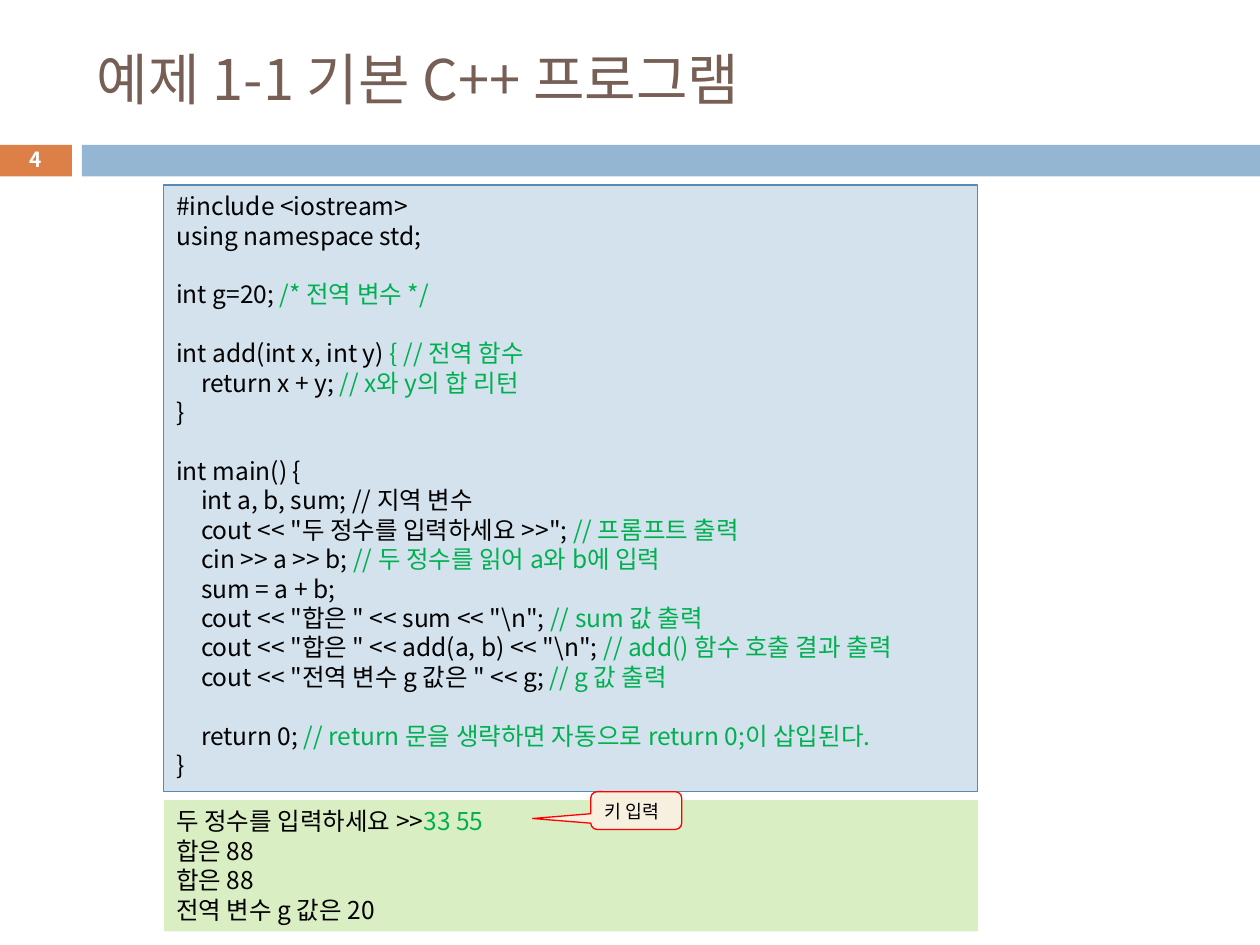
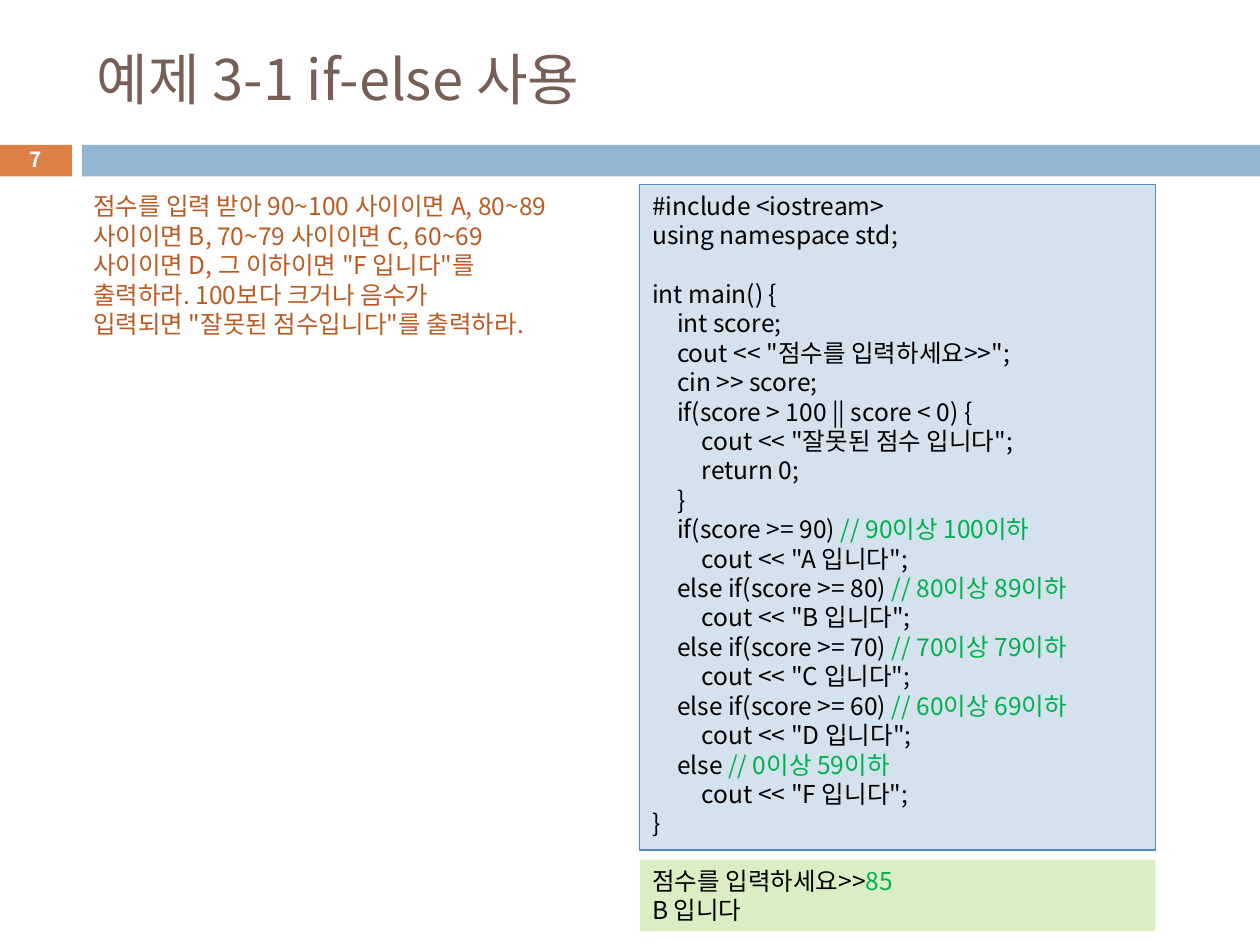
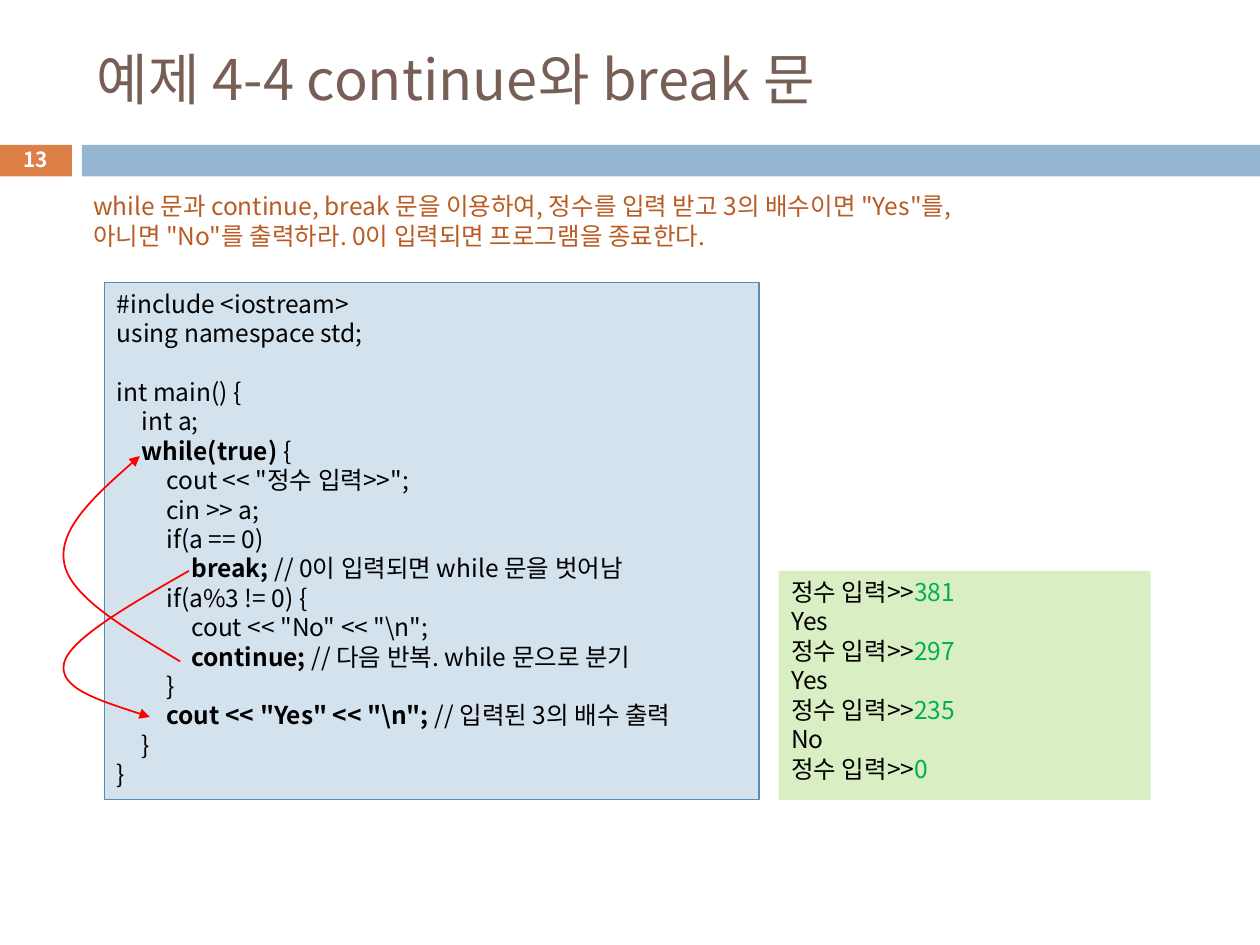
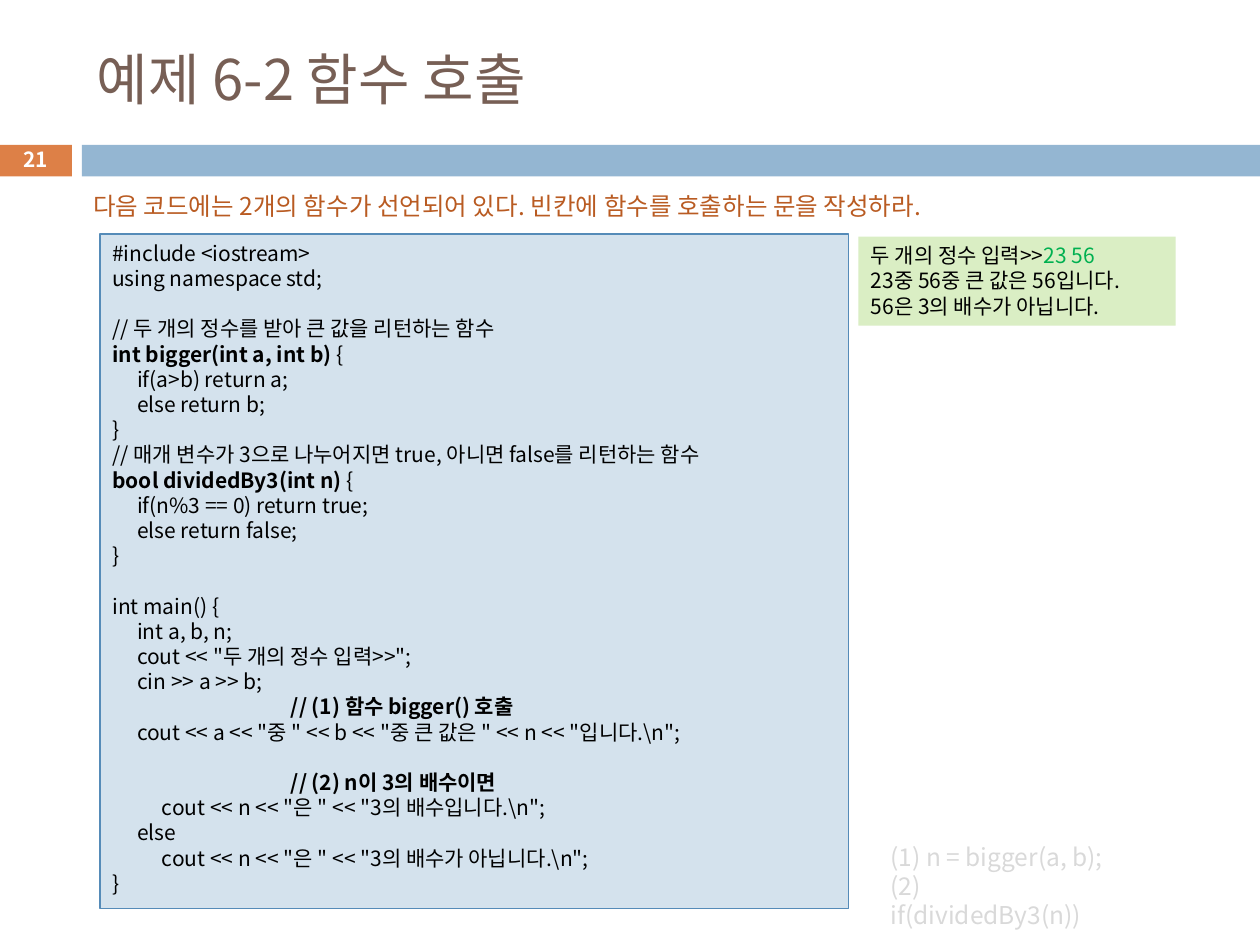
from collections import namedtuple

from lxml import etree
from pptx import Presentation
from pptx.dml.color import RGBColor
from pptx.enum.shapes import MSO_SHAPE
from pptx.enum.text import MSO_ANCHOR, MSO_AUTO_SIZE, PP_ALIGN
from pptx.oxml.ns import qn
from pptx.util import Pt

RECTANGLE = MSO_SHAPE.RECTANGLE
CALLOUT = MSO_SHAPE.ROUNDED_RECTANGULAR_CALLOUT
TOP = MSO_ANCHOR.TOP
MIDDLE = MSO_ANCHOR.MIDDLE
LEFT = PP_ALIGN.LEFT
CENTER = PP_ALIGN.CENTER
FIT_SHAPE = MSO_AUTO_SIZE.SHAPE_TO_FIT_TEXT
NO_FIT = MSO_AUTO_SIZE.NONE

FONT = "Noto Sans CJK KR"
LINE_HEIGHT = 1.2
TAB_WIDTH = 14.2
TAB_STOPS = 8
BLANK_TABS = "\t" * 6

COLORS = {
    "title": "775F55",
    "number_band": "DD8047",
    "band": "94B6D2",
    "white": "FFFFFF",
    "text": "000000",
    "comment": "00B050",
    "task": "B95B22",
    "answer": "D9D9D9",
    "code_fill": "D4E2ED",
    "code_line": "558BB8",
    "output_fill": "DAEEC4",
    "callout_fill": "F7F0DE",
    "red": "FF0000",
}

Segment = namedtuple("Segment", "text color bold underline",
                     defaults=(None, False, False))


def green(text):
    return Segment(text, color="comment")


def bold(text):
    return Segment(text, bold=True)


def blank(text):
    return Segment(text, underline=True)


def rgb(name):
    return RGBColor.from_string(COLORS[name])


class Deck:
    """Holds the shared style and the slide being filled."""

    def __init__(self):
        self.presentation = Presentation()
        self.presentation.slide_width = Pt(720)
        self.presentation.slide_height = Pt(540)
        self.slide = None

    def add_slide(self, title, number):
        layout = self.presentation.slide_layouts[5]
        self.slide = self.presentation.slides.add_slide(layout)
        self.rectangle((-0.7, 82.8, 41.8, 18), "number_band")
        self.rectangle((46.8, 82.8, 673.2, 18), "band")
        placeholder = self.slide.shapes.title
        placeholder.left, placeholder.top = Pt(48.2), Pt(18)
        placeholder.width, placeholder.height = Pt(642.2), Pt(53.3)
        self.set_lines(placeholder, [title], 32, "title", fixed_height=False)
        placeholder.text_frame.vertical_anchor = MIDDLE
        placeholder.text_frame.auto_size = NO_FIT
        number_box = self.text_box((-0.7, 81.4, 41.8, 19.4), [bold(number)], 11.9, "white")
        number_box.text_frame.auto_size = NO_FIT
        number_box.text_frame.vertical_anchor = MIDDLE
        number_box.text_frame.paragraphs[0].alignment = CENTER

    def style_run(self, run, segment, size, color):
        run.font.name = FONT
        run.font.size = Pt(size)
        run.font.color.rgb = rgb(segment.color or color)
        run.font.bold = segment.bold
        run.font.underline = segment.underline
        east_asian = etree.SubElement(run._r.get_or_add_rPr(), qn("a:ea"))
        east_asian.set("typeface", FONT)

    def set_tabs(self, paragraph):
        tabs = etree.SubElement(paragraph._p.get_or_add_pPr(), qn("a:tabLst"))
        for stop in range(1, TAB_STOPS + 1):
            tab = etree.SubElement(tabs, qn("a:tab"))
            tab.set("pos", str(int(Pt(TAB_WIDTH * stop))))
            tab.set("algn", "l")

    def set_lines(self, shape, lines, size, color, fixed_height=True):
        """Fill a shape; a line is a string, a Segment, or a list of both."""
        text_frame = shape.text_frame
        text_frame.word_wrap = True
        for index, line in enumerate(lines):
            paragraph = text_frame.add_paragraph() if index else text_frame.paragraphs[0]
            paragraph.alignment = LEFT
            if fixed_height:
                paragraph.line_spacing = Pt(size * LINE_HEIGHT)
            segments = line if isinstance(line, list) else [line]
            for segment in segments:
                if isinstance(segment, str):
                    segment = Segment(segment)
                if segment.text:
                    run = paragraph.add_run()
                    run.text = segment.text
                    self.style_run(run, segment, size, color)
            if any("\t" in run.text for run in paragraph.runs):
                self.set_tabs(paragraph)

    def rectangle(self, box, fill, line=None, kind=RECTANGLE):
        shape = self.slide.shapes.add_shape(kind, *map(Pt, box))
        shape.shadow.inherit = False
        shape.fill.solid()
        shape.fill.fore_color.rgb = rgb(fill)
        if line:
            shape.line.color.rgb = rgb(line)
            shape.line.width = Pt(0.75)
        else:
            shape.line.fill.background()
        return shape

    def panel(self, box, lines, size, fill, line=None, kind=RECTANGLE):
        shape = self.rectangle(box, fill, line, kind)
        self.set_lines(shape, lines, size, "text")
        shape.text_frame.vertical_anchor = TOP
        shape.text_frame.auto_size = FIT_SHAPE
        return shape

    def code(self, box, lines, size=14):
        self.panel(box, lines, size, "code_fill", "code_line")

    def output(self, box, lines, size=14):
        self.panel(box, lines, size, "output_fill")

    def callout(self, box, text, adjustments):
        shape = self.panel(box, [text], 10.5, "callout_fill", "red", CALLOUT)
        shape.text_frame.word_wrap = False
        for index, value in enumerate(adjustments):
            shape.adjustments[index] = value

    def text_box(self, box, lines, size, color):
        shape = self.slide.shapes.add_textbox(*map(Pt, box))
        self.set_lines(shape, lines, size, color)
        shape.text_frame.auto_size = FIT_SHAPE
        return shape

    def task(self, width, height, text):
        self.text_box((46.1, 105.8, width, height), [text], 14, "task")

    def curved_arrow(self, start, *points):
        """Draw Bézier curves; every three points are two controls and an end."""
        builder = self.slide.shapes.build_freeform(*map(Pt, start))
        builder.add_line_segments([tuple(map(Pt, point)) for point in points], close=False)
        shape = builder.convert_to_shape()
        outline = next(shape._element.iter(qn("a:path")))
        straight = outline.findall(qn("a:lnTo"))
        for first in range(0, len(straight), 3):
            curve = etree.SubElement(outline, qn("a:cubicBezTo"))
            for segment in straight[first:first + 3]:
                curve.append(segment[0])
                outline.remove(segment)
        shape.shadow.inherit = False
        shape.fill.background()
        shape.line.color.rgb = rgb("red")
        shape.line.width = Pt(1)
        line = shape._element.spPr.find(qn("a:ln"))
        etree.SubElement(line, qn("a:tailEnd")).set("type", "triangle")


def basic_program(deck):
    deck.add_slide("예제 1-1 기본 C++ 프로그램", "4")
    deck.code((93.6, 105.7, 465.2, 346.5), [
        "#include <iostream>",
        "using namespace std;",
        "",
        ["int g=20; ", green("/* 전역 변수 */")],
        "",
        ["int add(int x, int y) ", green("{ // 전역 함수")],
        ["\treturn x + y; ", green("// x와 y의 합 리턴")],
        "}",
        "",
        "int main() {",
        "\tint a, b, sum; // 지역 변수",
        ["\tcout << \"두 정수를 입력하세요 >>\"; ", green("// 프롬프트 출력")],
        ["\tcin >> a >> b; ", green("// 두 정수를 읽어 a와 b에 입력")],
        "\tsum = a + b;",
        ["\tcout << \"합은 \" << sum << \"\\n\"; ", green("// sum 값 출력")],
        ["\tcout << \"합은 \" << add(a, b) << \"\\n\"; ",
         green("// add() 함수 호출 결과 출력")],
        ["\tcout << \"전역 변수 g 값은 \" << g; ", green("// g 값 출력")],
        "",
        ["\treturn 0; ", green("// return 문을 생략하면 자동으로 return 0;이 삽입된다.")],
        "}",
    ])
    deck.output((93.6, 457.2, 465.2, 75), [
        ["두 정수를 입력하세요 >>", green("33 55")],
        "합은 88",
        "합은 88",
        "전역 변수 g 값은 20",
    ])
    deck.callout((337.6, 452.4, 52, 21.6), "키 입력", (-1.14, 0.21, 0.17))


def if_else(deck):
    deck.add_slide("예제 3-1 if-else 사용", "7")
    deck.task(285.8, 92.2, "점수를 입력 받아 90~100 사이이면 A, 80~89 사이이면 B, "
              "70~79 사이이면 C, 60~69 사이이면 D, 그 이하이면 \"F 입니다\"를 출력하라. "
              "100보다 크거나 음수가 입력되면 \"잘못된 점수입니다\"를 출력하라.")
    grades = []
    for grade, low, high in (("A", 90, 100), ("B", 80, 89), ("C", 70, 79), ("D", 60, 69)):
        keyword = "else if" if grades else "if"
        grades += [
            [f"\t{keyword}(score >= {low}) ", green(f"// {low}이상 {high}이하")],
            f"\t\tcout << \"{grade} 입니다\";",
        ]
    deck.code((365.6, 105.4, 294.6, 380.4), [
        "#include <iostream>",
        "using namespace std;",
        "",
        "int main() {",
        "\tint score;",
        "\tcout << \"점수를 입력하세요>>\";",
        "\tcin >> score;",
        "\tif(score > 100 || score < 0) {",
        "\t\tcout << \"잘못된 점수 입니다\";",
        "\t\treturn 0;",
        "\t}",
        *grades,
        ["\telse ", green("// 0이상 59이하")],
        "\t\tcout << \"F 입니다\";",
        "}",
    ])
    deck.output((365.6, 491.2, 294.6, 41), [
        ["점수를 입력하세요>>", green("85")],
        "B 입니다",
    ])


def continue_and_break(deck):
    deck.add_slide("예제 4-4 continue와 break 문", "13")
    deck.task(540.7, 41, "while 문과 continue, break 문을 이용하여, 정수를 입력 받고 "
              "3의 배수이면 \"Yes\"를, 아니면 \"No\"를 출력하라. "
              "0이 입력되면 프로그램을 종료한다.")
    deck.code((59.6, 161.4, 374.2, 295.6), [
        "#include <iostream>",
        "using namespace std;",
        "",
        "int main() {",
        "\tint a;",
        ["\t", bold("while(true)"), " {"],
        "\t\tcout << \"정수 입력>>\";",
        "\t\tcin >> a;",
        "\t\tif(a == 0)",
        ["\t\t\t", bold("break; "), "// 0이 입력되면 while 문을 벗어남"],
        "\t\tif(a%3 != 0) {",
        "\t\t\tcout << \"No\" << \"\\n\";",
        ["\t\t\t", bold("continue; "), "// 다음 반복. while 문으로 분기"],
        "\t\t}",
        ["\t\t", bold("cout << \"Yes\" << \"\\n\"; "), "// 입력된 3의 배수 출력"],
        "\t}",
        "}",
    ])
    prompt = "정수 입력>>"
    deck.output((445, 326.2, 212.6, 131), [
        [prompt, green("381")],
        "Yes",
        [prompt, green("297")],
        "Yes",
        [prompt, green("235")],
        "No",
        [prompt, green("0")],
    ])
    deck.curved_arrow((103, 378), (72, 359.3), (40.3, 341.3), (36.7, 321.8),
                      (33.1, 302.4), (56.2, 281.5), (79.9, 260.6))
    deck.curved_arrow((108, 326.2), (74.2, 345.6), (40.3, 365), (36.7, 378.7),
                      (33.1, 393.1), (59, 401), (85.7, 409.7))


def function_call(deck):
    deck.add_slide("예제 6-2 함수 호출", "21")
    deck.task(540.7, 24.5, "다음 코드에는 2개의 함수가 선언되어 있다. "
              "빈칸에 함수를 호출하는 문을 작성하라.")
    deck.code((57.1, 133.8, 427.8, 385.4), [
        "#include <iostream>",
        "using namespace std;",
        "",
        "// 두 개의 정수를 받아 큰 값을 리턴하는 함수",
        [bold("int bigger(int a, int b) "), "{"],
        "\tif(a>b) return a;",
        "\telse return b;",
        "}",
        "// 매개 변수가 3으로 나누어지면 true, 아니면 false를 리턴하는 함수",
        [bold("bool dividedBy3(int n) "), "{"],
        "\tif(n%3 == 0) return true;",
        "\telse return false;",
        "}",
        "",
        "int main() {",
        "\tint a, b, n;",
        "\tcout << \"두 개의 정수 입력>>\";",
        "\tcin >> a >> b;",
        ["\t", blank(BLANK_TABS), " ", bold("// (1) 함수 bigger() 호출")],
        "\tcout << a << \"중 \" << b << \"중 큰 값은 \" << n << \"입니다.\\n\";",
        "",
        ["\t", blank(BLANK_TABS), " ", bold("// (2) n이 3의 배수이면")],
        "\t\tcout << n << \"은 \" << \"3의 배수입니다.\\n\";",
        "\telse",
        "\t\tcout << n << \"은 \" << \"3의 배수가 아닙니다.\\n\";",
        "}",
    ], size=12)
    deck.output((490.6, 135.2, 181.2, 50.9), [
        ["두 개의 정수 입력>>", green("23 56")],
        "23중 56중 큰 값은 56입니다.",
        "56은 3의 배수가 아닙니다.",
    ], size=12)
    deck.text_box((501.8, 477.4, 141.1, 41),
                  ["(1) n = bigger(a, b);", "(2) if(dividedBy3(n))"], 14, "answer")


def main():
    deck = Deck()
    for build_slide in (basic_program, if_else, continue_and_break, function_call):
        build_slide(deck)
    deck.presentation.save("out.pptx")


if __name__ == "__main__":
    main()
